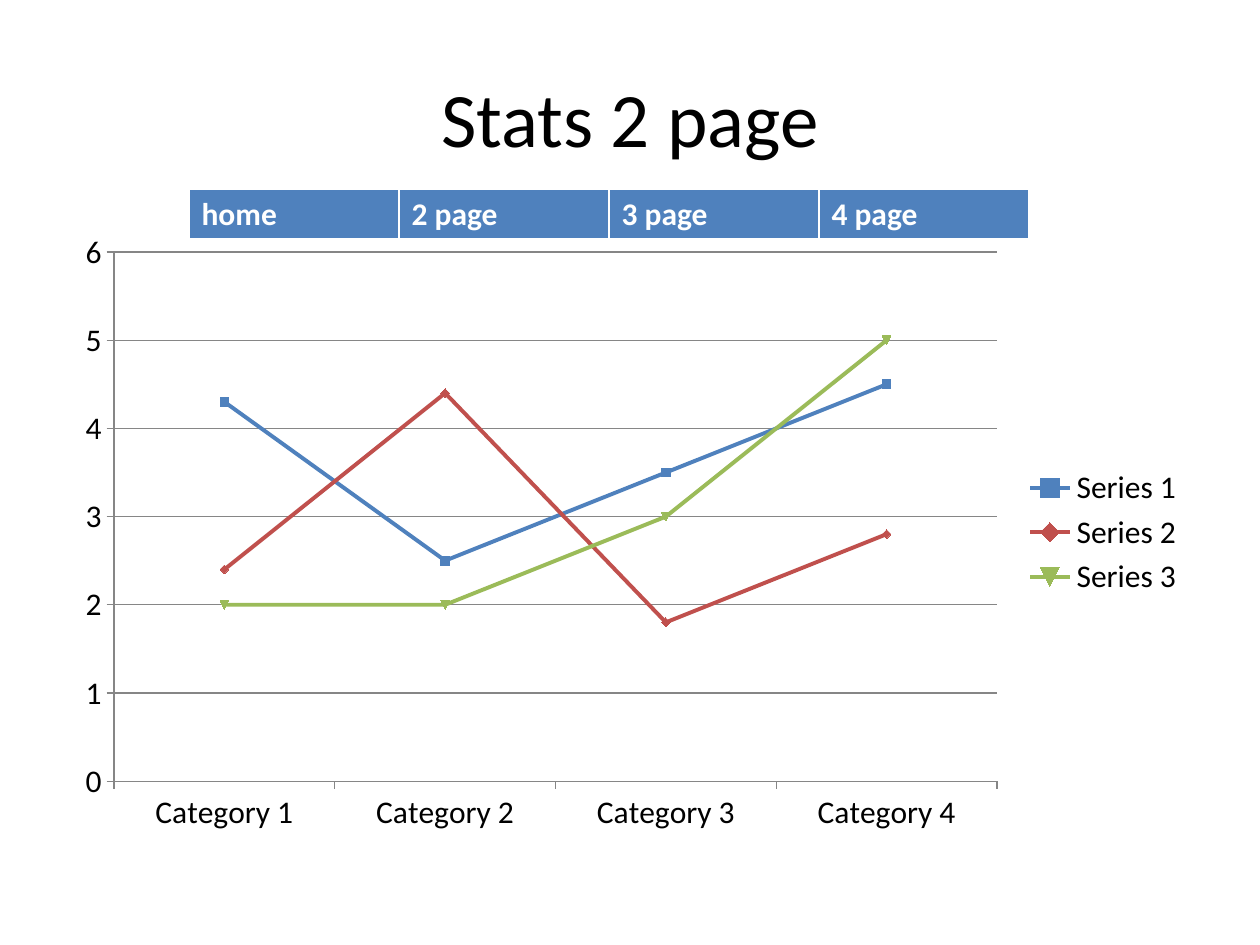
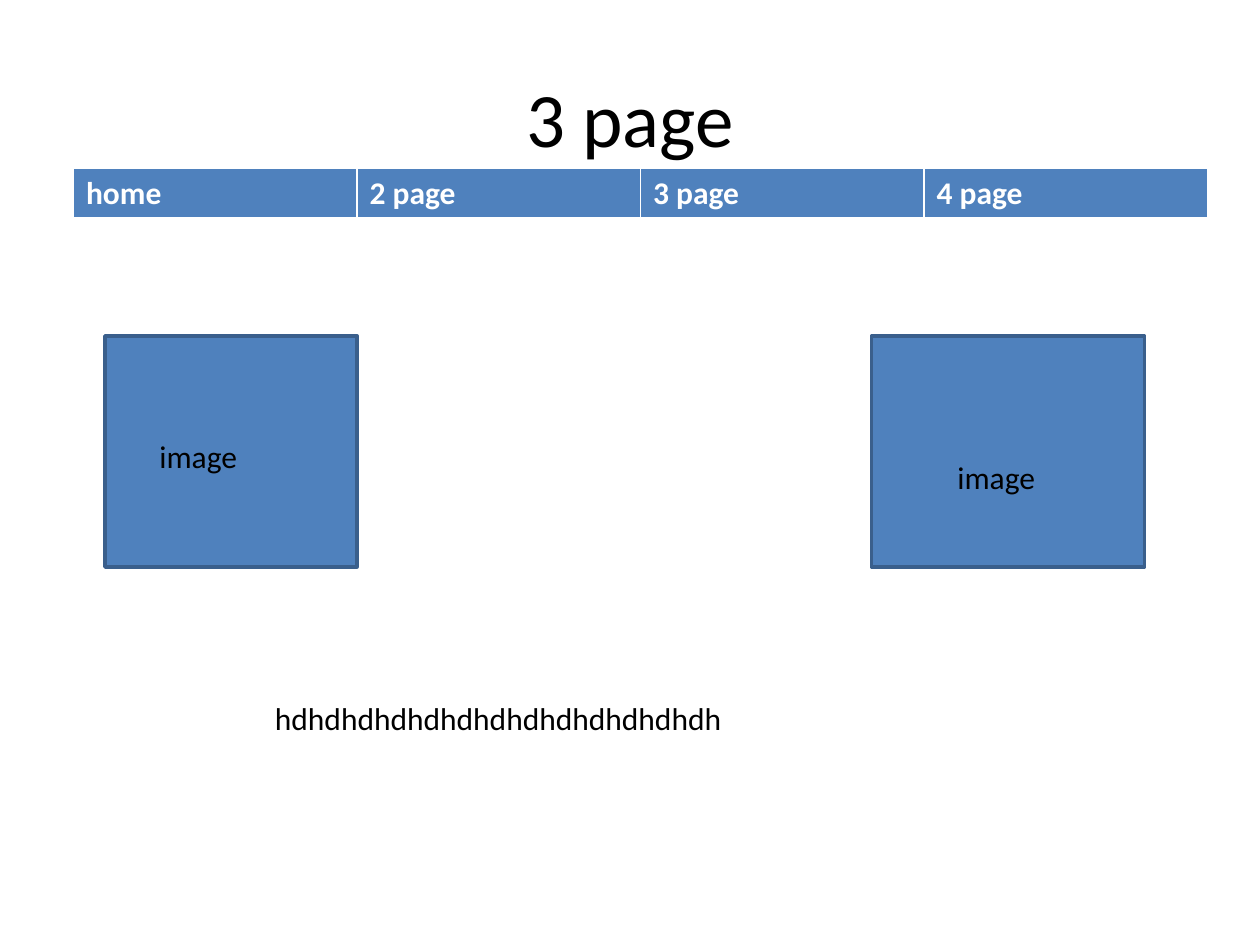
import dataclasses

import lxml.etree
import pptx
import pptx.chart.data
import pptx.dml.color
import pptx.enum.chart
import pptx.enum.shapes
import pptx.enum.text
import pptx.oxml.ns
import pptx.util

Pt = pptx.util.Pt
RGB = pptx.dml.color.RGBColor.from_string


@dataclasses.dataclass(frozen=True)
class Theme:
    font: str = "Calibri"
    title_size: int = 44
    body_size: int = 18
    text: str = "000000"
    white: str = "FFFFFF"
    blue: str = "4F81BD"
    red: str = "C0504D"
    green: str = "9BBB59"
    outline: str = "3A5F8C"
    grid: str = "868686"


theme = Theme()


def write_text(frame, text, size=theme.body_size, color=theme.text, bold=False, align=None):
    frame.word_wrap = True
    paragraph = frame.paragraphs[0]
    paragraph.alignment = align
    run = paragraph.add_run()
    run.text = text
    run.font.name = theme.font
    run.font.size = Pt(size)
    run.font.bold = bold
    run.font.color.rgb = RGB(color)


def add_navigation(slide, left, top, width):
    """Add the one-row table of page names, with white borders."""
    pages = ["home", "2 page", "3 page", "4 page"]
    table = slide.shapes.add_table(1, len(pages), Pt(left), Pt(top), Pt(width), Pt(29.2)).table
    for cell, page in zip(table.rows[0].cells, pages):
        write_text(cell.text_frame, page, color=theme.white, bold=True)
        properties = cell._tc.get_or_add_tcPr()
        for side, weight in [("L", 1), ("R", 1), ("T", 1), ("B", 3)]:
            border = lxml.etree.SubElement(
                properties, pptx.oxml.ns.qn(f"a:ln{side}"), w=str(Pt(weight)))
            fill = lxml.etree.SubElement(border, pptx.oxml.ns.qn("a:solidFill"))
            lxml.etree.SubElement(fill, pptx.oxml.ns.qn("a:srgbClr"), val=theme.white)
        cell.fill.solid()
        cell.fill.fore_color.rgb = RGB(theme.blue)


presentation = pptx.Presentation()
presentation.slide_width, presentation.slide_height = Pt(720), Pt(540)

slides = []
for title_text in ["Stats 2 page", "3 page"]:
    slide = presentation.slides.add_slide(presentation.slide_layouts[5])
    slide.background.fill.solid()
    slide.background.fill.fore_color.rgb = RGB(theme.white)
    title = slide.shapes.title
    title.left, title.top, title.width, title.height = Pt(36), Pt(21.6), Pt(648), Pt(90)
    title.text_frame.vertical_anchor = pptx.enum.text.MSO_ANCHOR.MIDDLE
    write_text(title.text_frame, title_text, size=theme.title_size,
               align=pptx.enum.text.PP_ALIGN.CENTER)
    slides.append(slide)
stats_slide, image_slide = slides

# Stats page: line chart under the navigation
chart_data = pptx.chart.data.CategoryChartData()
chart_data.categories = [f"Category {number}" for number in range(1, 5)]
chart_data.add_series("Series 1", [4.3, 2.5, 3.5, 4.5])
chart_data.add_series("Series 2", [2.4, 4.4, 1.8, 2.8])
chart_data.add_series("Series 3", [2, 2, 3, 5])
chart = stats_slide.shapes.add_chart(
    pptx.enum.chart.XL_CHART_TYPE.LINE_MARKERS,
    Pt(36), Pt(126), Pt(648), Pt(356.4), chart_data).chart
chart.has_title = False
chart.font.name = theme.font
chart.font.size = Pt(theme.body_size)
chart.font.color.rgb = RGB(theme.text)
chart.has_legend = True
chart.legend.position = pptx.enum.chart.XL_LEGEND_POSITION.RIGHT
chart.legend.include_in_layout = False

chart.value_axis.has_major_gridlines = True
for axis in [chart.category_axis, chart.value_axis]:
    axis.major_tick_mark = pptx.enum.chart.XL_TICK_MARK.OUTSIDE
for lined in [chart.category_axis, chart.value_axis, chart.value_axis.major_gridlines]:
    lined.format.line.color.rgb = RGB(theme.grid)
    lined.format.line.width = Pt(0.75)

chart.plots[0].vary_by_categories = False
for series, color in zip(chart.plots[0].series, [theme.blue, theme.red, theme.green]):
    series.smooth = False
    series.format.line.color.rgb = RGB(color)
    series.format.line.width = Pt(2.25)
    series.marker.format.fill.solid()
    series.marker.format.fill.fore_color.rgb = RGB(color)
    series.marker.format.line.color.rgb = RGB(color)

add_navigation(stats_slide, left=108, top=108, width=480)

# Image page: two image frames with labels, and a line of text
add_navigation(image_slide, left=42, top=96, width=648)
for left, width in [(60, 144), (498, 156)]:
    frame = image_slide.shapes.add_shape(
        pptx.enum.shapes.MSO_SHAPE.RECTANGLE, Pt(left), Pt(192), Pt(width), Pt(132))
    frame.shadow.inherit = False
    frame.fill.solid()
    frame.fill.fore_color.rgb = RGB(theme.blue)
    frame.line.color.rgb = RGB(theme.outline)
    frame.line.width = Pt(2)

for text, left, top, width in [
    ("hdhdhdhdhdhdhdhdhdhdhdhdhdh", 150, 396, 414),
    ("image", 84, 246, 96),
    ("image", 540, 258, 90),
]:
    box = image_slide.shapes.add_textbox(Pt(left), Pt(top), Pt(width), Pt(29))
    box.text_frame.auto_size = pptx.enum.text.MSO_AUTO_SIZE.SHAPE_TO_FIT_TEXT
    write_text(box.text_frame, text)

presentation.save("out.pptx")
